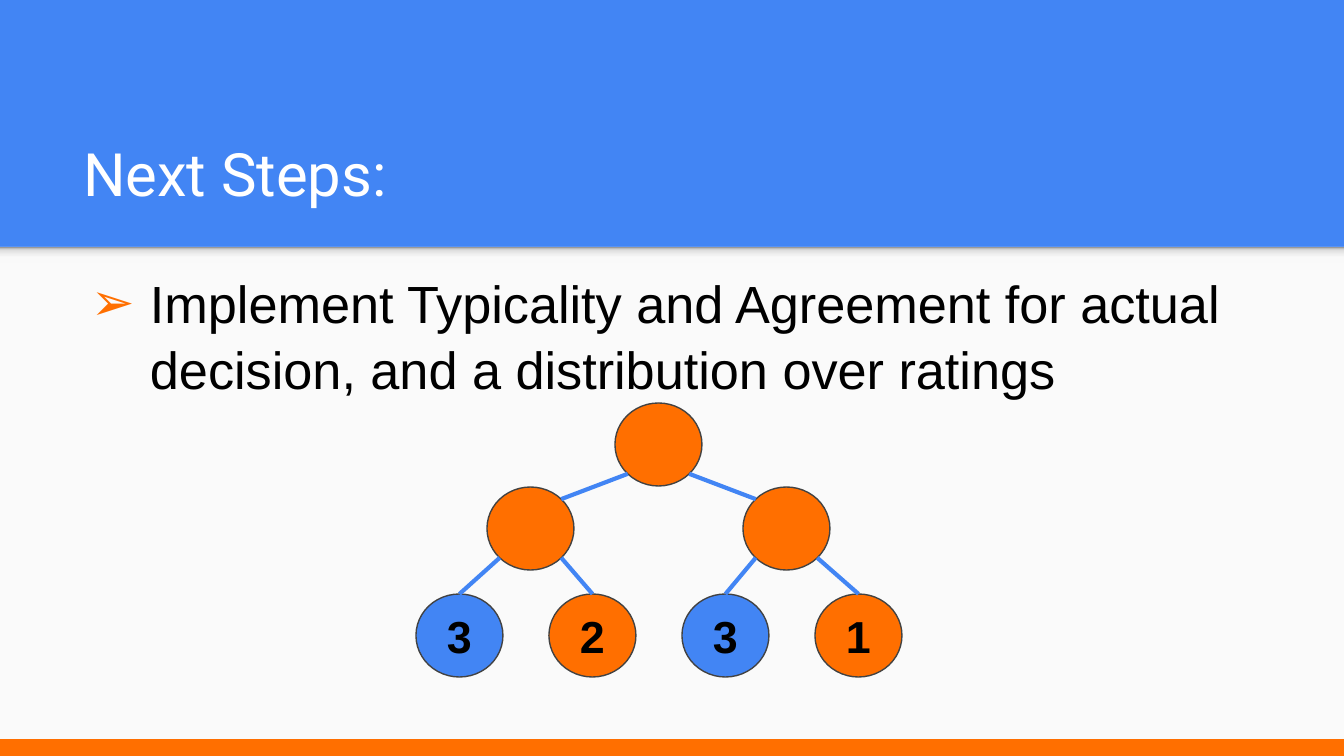
import copy

import lxml.etree
import pptx
import pptx.dml.color
import pptx.enum.shapes
import pptx.enum.text
import pptx.oxml.ns
import pptx.util

BLUE = pptx.dml.color.RGBColor(0x42, 0x85, 0xF4)
ORANGE = pptx.dml.color.RGBColor(0xFF, 0x6F, 0x00)
PAPER = pptx.dml.color.RGBColor(0xFA, 0xFA, 0xFA)
OUTLINE = pptx.dml.color.RGBColor(0x42, 0x42, 0x42)
WHITE = pptx.dml.color.RGBColor(0xFF, 0xFF, 0xFF)
BLACK = pptx.dml.color.RGBColor(0x00, 0x00, 0x00)
HAZE = pptx.dml.color.RGBColor(0xF9, 0xF9, 0xF9)
MIST = pptx.dml.color.RGBColor(0xDE, 0xDE, 0xDE)
SHADE = pptx.dml.color.RGBColor(0x99, 0x99, 0x99)
SHADOW_STOPS = [(0, HAZE), (0.36, HAZE), (0.8, MIST), (1, SHADE)]

ANCHOR = pptx.enum.text.MSO_ANCHOR
ALIGN = pptx.enum.text.PP_ALIGN
SHAPE = pptx.enum.shapes.MSO_SHAPE
NODE_WIDTH, NODE_HEIGHT = 87, 83


def px(length):
    """Turn pixels into EMU."""
    return pptx.util.Emu(round(length * 914400 / 134.4))


def assign(target, values):
    """Set each named attribute of the target."""
    for name, value in values.items():
        setattr(target, name, value)


class Deck:
    """Holds the style and the current slide."""

    TITLE = {"name": "Roboto", "size": pptx.util.Pt(32)}
    BODY = {"name": "Arial", "size": pptx.util.Pt(28)}
    RATING = {"name": "Arial", "size": pptx.util.Pt(24), "bold": True}

    def __init__(self):
        """Start a slide on the title-only layout."""
        self.presentation = pptx.Presentation()
        assign(self.presentation, {"slide_width": px(1344), "slide_height": px(756)})
        self.slide = self.presentation.slides.add_slide(self.presentation.slide_layouts[5])
        background = self.slide.background.fill
        background.solid()
        background.fore_color.rgb = BLUE

    def set_text(self, shape, text, style, color, anchor, align):
        """Fill a shape with one formatted paragraph and return it."""
        frame = shape.text_frame
        assign(frame, {"word_wrap": True, "vertical_anchor": anchor,
                       "auto_size": pptx.enum.text.MSO_AUTO_SIZE.NONE})
        assign(frame, {f"margin_{side}": px(13) for side in ("left", "top", "right", "bottom")})
        paragraph = frame.paragraphs[0]
        paragraph.alignment = align
        run = paragraph.add_run()
        run.text = text
        assign(run.font, style)
        run.font.color.rgb = color
        return paragraph

    def title(self, text, left, top, width, height):
        """Place and format the title placeholder."""
        title = self.slide.shapes.title
        assign(title, {"left": px(left), "top": px(top), "width": px(width), "height": px(height)})
        self.set_text(title, text, self.TITLE, WHITE, ANCHOR.BOTTOM, ALIGN.LEFT)

    def bullet(self, text, left, top, width, height):
        """Add a text box with one arrow bullet."""
        box = self.slide.shapes.add_textbox(px(left), px(top), px(width), px(height))
        paragraph = self.set_text(box, text, self.BODY, BLACK, ANCHOR.TOP, ALIGN.LEFT)
        paragraph.line_spacing = 1.05
        properties = paragraph._p.get_or_add_pPr()
        properties.set("marL", str(px(67)))
        properties.set("indent", str(px(-59)))
        qn = pptx.oxml.ns.qn
        color = lxml.etree.SubElement(properties, qn("a:buClr"))
        lxml.etree.SubElement(color, qn("a:srgbClr"), val=str(ORANGE))
        lxml.etree.SubElement(properties, qn("a:buFont"), typeface="Arial")
        lxml.etree.SubElement(properties, qn("a:buChar"), char="➢")

    def shape(self, shapes, kind, left, top, width, height, fill, line=None):
        """Add a preset shape with a plain fill and an optional outline."""
        shape = shapes.add_shape(kind, px(left), px(top), px(width), px(height))
        shape.shadow.inherit = False
        shape.fill.solid()
        shape.fill.fore_color.rgb = fill
        if line is None:
            shape.line.fill.background()
        else:
            shape.line.color.rgb = line
            shape.line.width = pptx.util.Pt(0.75)
        return shape

    def band(self, top, height, fill, line=None):
        """Add a full-width rectangle."""
        return self.shape(self.slide.shapes, SHAPE.RECTANGLE, 0, top, 1344, height, fill, line)

    def shadow(self, top, height, stops):
        """Add a full-width band that darkens upwards."""
        strip = self.band(top, height, HAZE)
        strip.fill.gradient()
        strip.fill.gradient_angle = 90
        stop_list = strip._element.spPr.find(".//" + pptx.oxml.ns.qn("a:gsLst"))
        while len(stop_list) < len(stops):
            stop_list.append(copy.deepcopy(stop_list[0]))
        for stop, (position, color) in zip(strip.fill.gradient_stops, stops):
            stop.position = position
            stop.color.rgb = color

    def node(self, tree, left, top, fill, rating=""):
        """Add a tree node with an optional rating."""
        node = self.shape(tree, SHAPE.OVAL, left, top, NODE_WIDTH, NODE_HEIGHT, fill, OUTLINE)
        if rating:
            self.set_text(node, rating, self.RATING, BLACK, ANCHOR.MIDDLE, ALIGN.CENTER)
        return node

    def rim(self, node, across, down):
        """Return the diagonal point on a node's rim towards the given signs."""
        reach = 0.5 ** 0.5 / 2
        return (round(node.left + node.width * (0.5 + across * reach)),
                round(node.top + node.height * (0.5 + down * reach)))

    def edge(self, tree, parent, child, side, to_top):
        """Join a parent's lower rim to a child's top or upper rim."""
        edge = tree.add_connector(pptx.enum.shapes.MSO_CONNECTOR.STRAIGHT,
                                  *self.rim(parent, side, 1), *self.rim(child, -side, -1))
        if to_top:
            edge.end_connect(child, 0)
        edge.line.color.rgb = BLUE
        edge.line.width = pptx.util.Pt(2.25)
        lxml.etree.SubElement(edge._element.spPr, pptx.oxml.ns.qn("a:effectLst"))

    def rating_tree(self, ratings):
        """Add a three-level tree whose leaves carry the ratings."""
        tree = self.slide.shapes.add_group_shape().shapes
        root = self.node(tree, 615, 403, ORANGE)
        branches = [self.node(tree, 487 + 256 * i, 487, ORANGE) for i in range(2)]
        leaves = [self.node(tree, 416 + 133 * i, 594, fill, rating)
                  for i, (rating, fill) in enumerate(ratings)]
        for i, branch in enumerate(branches):
            self.edge(tree, root, branch, 2 * i - 1, False)
            for side, leaf in zip((-1, 1), leaves[2 * i:2 * i + 2]):
                self.edge(tree, branch, leaf, side, True)


def main():
    """Build and save the slide."""
    deck = Deck()
    deck.band(247, 509, PAPER)
    deck.shadow(247, 16, SHADOW_STOPS)
    deck.title("Next Steps:", 70, 109, 1208, 113)
    deck.bullet("Implement Typicality and Agreement for actual decision, "
                "and a distribution over ratings", 70, 255, 1208, 176)
    deck.band(740, 16, ORANGE, ORANGE)
    deck.rating_tree([("3", BLUE), ("2", ORANGE), ("3", BLUE), ("1", ORANGE)])
    deck.presentation.save("out.pptx")


if __name__ == "__main__":
    main()
